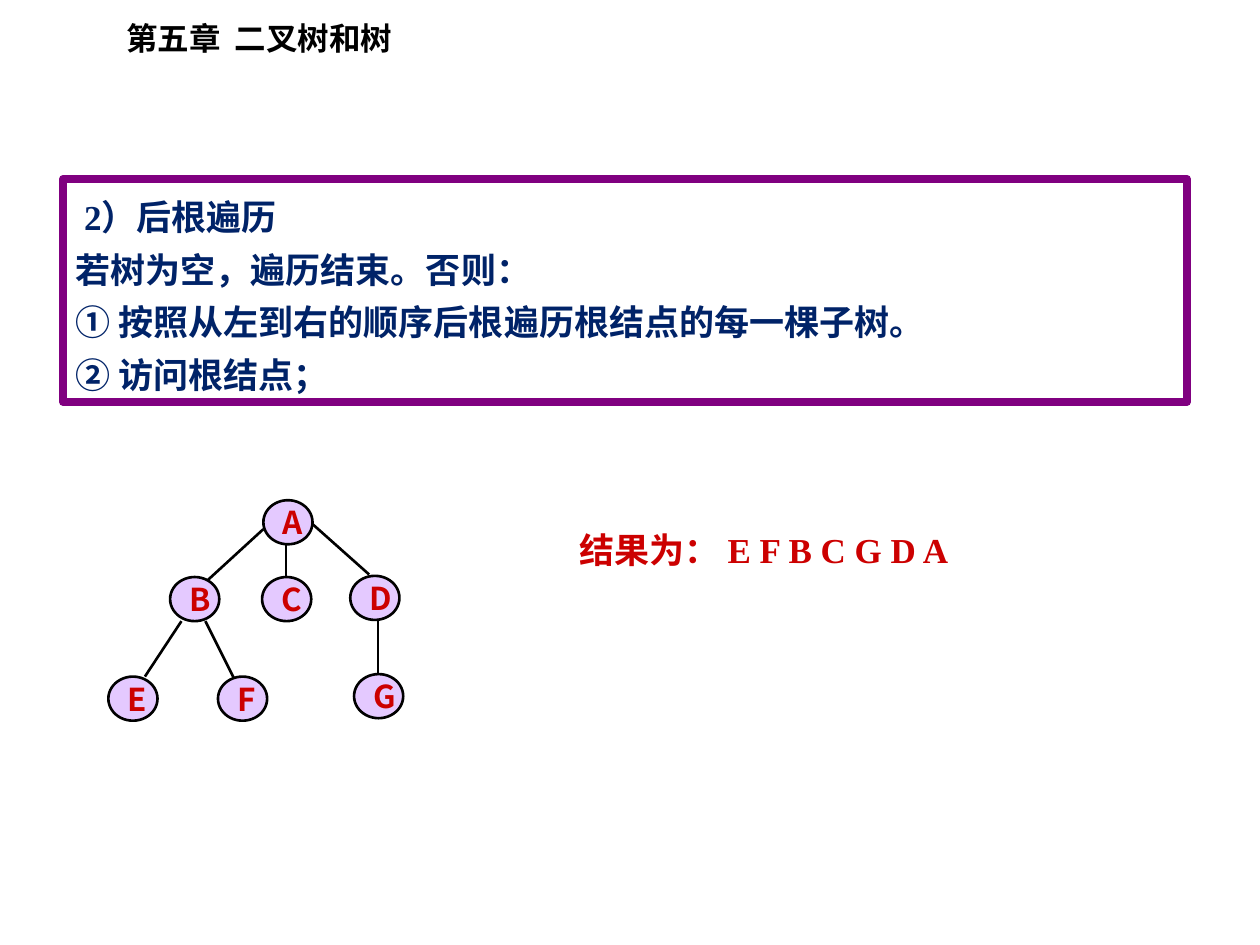
"""Build a slide on post-order traversal of a tree."""
from dataclasses import dataclass

from lxml.etree import SubElement
from pptx import Presentation
from pptx.dml.color import RGBColor
from pptx.enum.shapes import MSO_CONNECTOR, MSO_SHAPE
from pptx.enum.text import MSO_ANCHOR, MSO_AUTO_SIZE, PP_ALIGN
from pptx.oxml.ns import qn
from pptx.util import Emu, Pt

EMU_PER_PX = 9144
COLORS = {
    "black": "000000",
    "navy": "002368",
    "purple": "800080",
    "lilac": "E4C9FF",
    "red": "CC0000",
}
SERIF = "Times New Roman"
SANS = "Noto Sans CJK SC"
NODE_WIDTH, NODE_HEIGHT = 39, 35


@dataclass(frozen=True)
class Node:
    label: str
    left: int
    top: int


@dataclass(frozen=True)
class Edge:
    x1: int
    y1: int
    x2: int
    y2: int


NODES = [
    Node("A", 209, 397),
    Node("B", 135, 458),
    Node("C", 208, 458),
    Node("D", 278, 457),
    Node("G", 281, 535),
    Node("F", 173, 537),
    Node("E", 86, 537),
]
EDGES = [
    Edge(209, 420, 161, 464),
    Edge(247, 415, 293, 456),
    Edge(300, 491, 300, 535),
    Edge(227, 432, 227, 458),
    Edge(186, 539, 163, 493),
    Edge(115, 537, 144, 493),
]
RULES = [
    "2）后根遍历",
    "若树为空，遍历结束。否则：",
    "① 按照从左到右的顺序后根遍历根结点的每一棵子树。",
    "② 访问根结点；",
]


def px(length: int) -> Emu:
    """Turn px into EMU."""
    return Emu(length * EMU_PER_PX)


def rgb(name: str) -> RGBColor:
    """Look up a colour by name."""
    return RGBColor.from_string(COLORS[name])


def write(box, lines: list[str], *, color: str, size: int, font: str = SERIF,
          align=PP_ALIGN.LEFT, anchor=MSO_ANCHOR.TOP, spacing: float = 1.0,
          first_indent: int = 0) -> None:
    """Fill a shape with bold paragraphs in one format."""
    frame = box.text_frame
    frame.word_wrap = True
    frame.auto_size = MSO_AUTO_SIZE.NONE
    frame.vertical_anchor = anchor
    frame.margin_left = frame.margin_right = px(10)
    frame.margin_top = frame.margin_bottom = px(5)
    for index, line in enumerate(lines):
        para = frame.add_paragraph() if index else frame.paragraphs[0]
        para.alignment = align
        para.line_spacing = spacing
        if first_indent and index == 0:
            para._p.get_or_add_pPr().set("indent", str(px(first_indent)))
        span = para.add_run()
        span.text = line
        span.font.size = Pt(size)
        span.font.bold = True
        span.font.name = font
        span.font.color.rgb = rgb(color)
        SubElement(span._r.get_or_add_rPr(), qn("a:ea"), typeface=SANS)


def place(box, left: int, top: int, width: int, height: int) -> None:
    """Move and size a shape."""
    box.left, box.top = px(left), px(top)
    box.width, box.height = px(width), px(height)


def add_outlined(page, kind, left: int, top: int, width: int, height: int, *,
                 line: str, weight: float, fill: str | None = None):
    """Add a preset shape with an outline and an optional fill."""
    box = page.shapes.add_shape(kind, px(left), px(top), px(width), px(height))
    box.shadow.inherit = False
    box.line.color.rgb = rgb(line)
    box.line.width = Pt(weight)
    if fill:
        box.fill.solid()
        box.fill.fore_color.rgb = rgb(fill)
    else:
        box.fill.background()
    return box


def add_edge(page, edge: Edge) -> None:
    """Draw a tree branch."""
    branch = page.shapes.add_connector(
        MSO_CONNECTOR.STRAIGHT, px(edge.x1), px(edge.y1), px(edge.x2), px(edge.y2))
    branch.line.color.rgb = rgb("black")
    branch.line.width = Pt(1.5)
    SubElement(branch._element.spPr, qn("a:effectLst"))


def add_node(page, node: Node) -> None:
    """Draw a labelled tree node."""
    oval = add_outlined(page, MSO_SHAPE.OVAL, node.left, node.top, NODE_WIDTH,
                        NODE_HEIGHT, line="black", weight=1.5, fill="lilac")
    write(oval, [node.label], color="red", size=18, font=SANS,
          align=PP_ALIGN.CENTER, anchor=MSO_ANCHOR.MIDDLE)


def main() -> None:
    """Build and save the deck."""
    deck = Presentation()
    deck.slide_width, deck.slide_height = px(1000), px(750)
    page = deck.slides.add_slide(deck.slide_layouts[5])

    title = page.shapes.title
    place(title, 90, 10, 243, 40)
    write(title, ["第五章  二叉树和树"], color="black", size=18)

    rules = add_outlined(page, MSO_SHAPE.RECTANGLE, 50, 142, 892, 177,
                         line="purple", weight=4.5)
    write(rules, RULES, color="navy", size=20, spacing=1.25, first_indent=7)

    result = page.shapes.add_textbox(px(450), px(408), px(417), px(50))
    write(result, ["结果为： E F B C G D A"], color="red", size=20,
          align=PP_ALIGN.JUSTIFY, spacing=1.2)

    for edge in EDGES:
        add_edge(page, edge)
    for node in NODES:
        add_node(page, node)
    deck.save("out.pptx")


if __name__ == "__main__":
    main()
